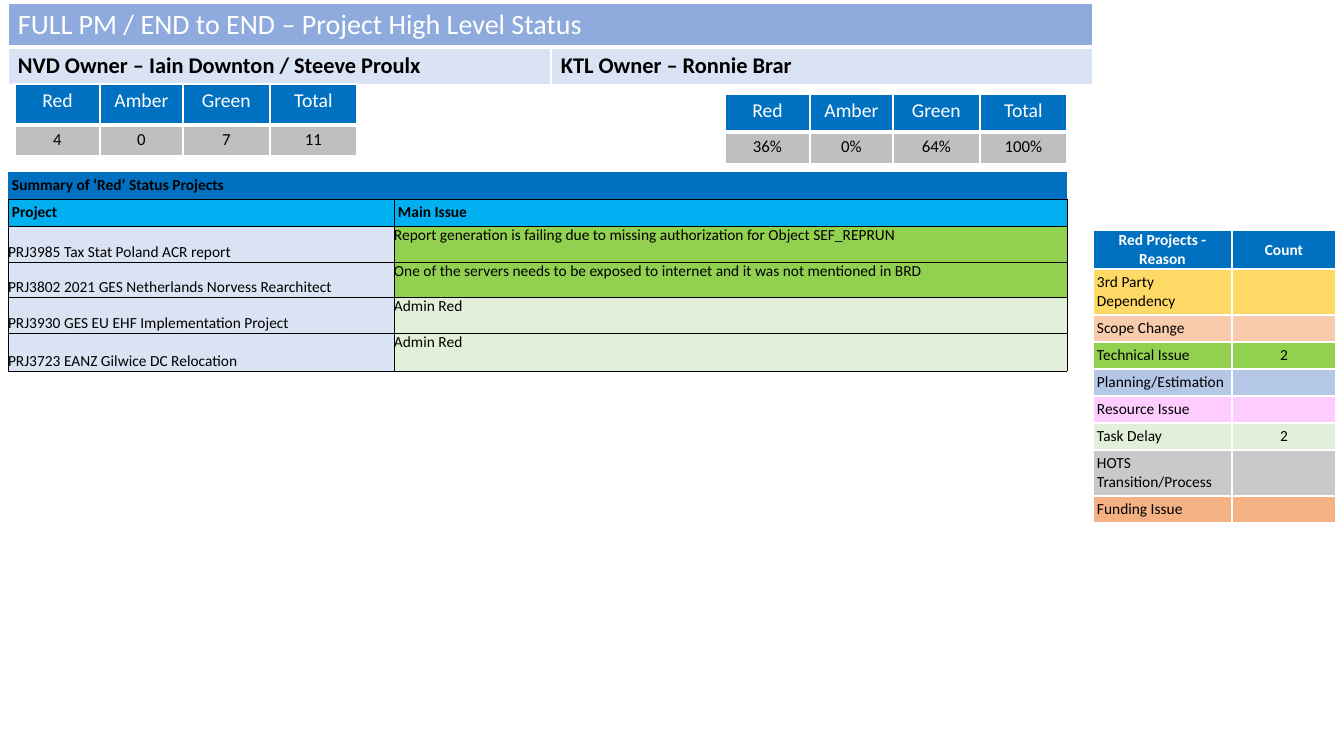
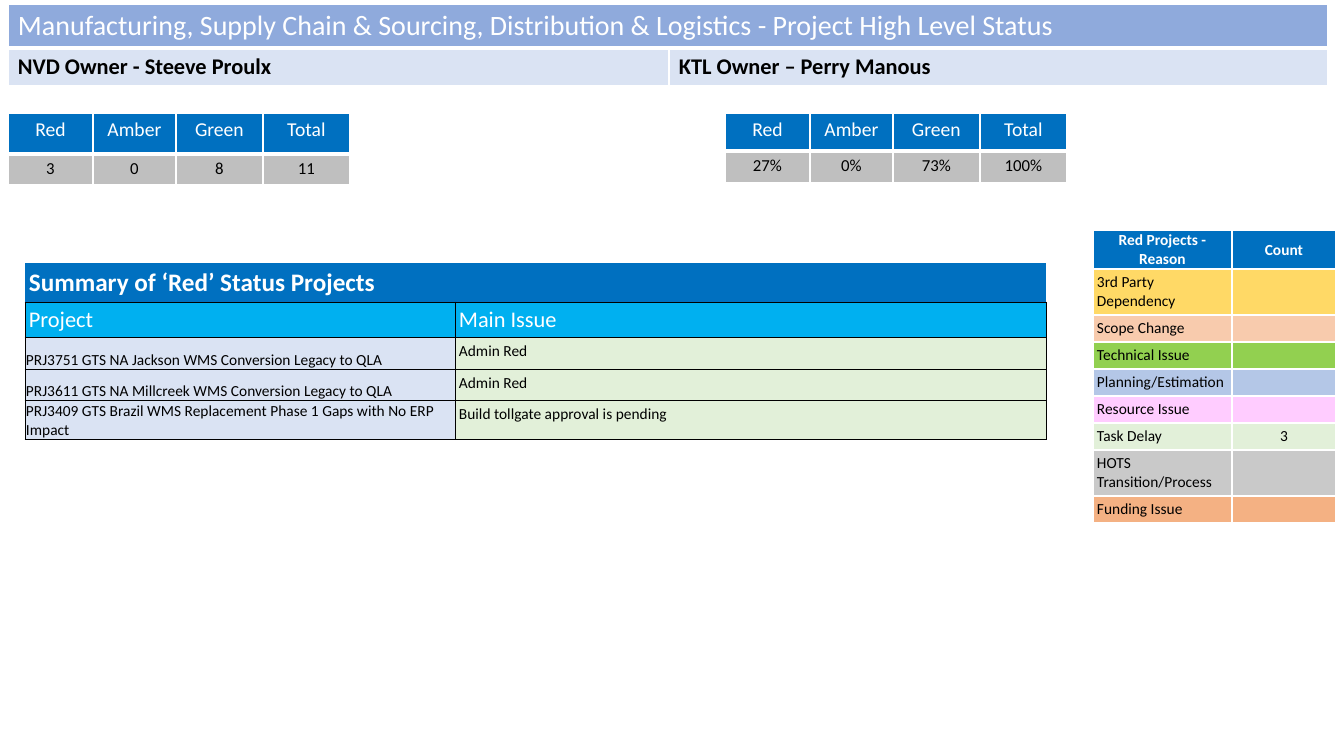
from collections import Counter
from dataclasses import dataclass, replace

from lxml.etree import SubElement
from pptx import Presentation
from pptx.dml.color import RGBColor
from pptx.enum.text import MSO_ANCHOR, PP_ALIGN
from pptx.oxml.ns import qn
from pptx.util import Emu, Pt

SLIDE_WIDTH, SLIDE_HEIGHT = 1344, 756
EMU_PER_PX = 12192000 / SLIDE_WIDTH
FONT = "Calibri"
WHITE, BLACK = "FFFFFF", "000000"
TITLE_BLUE, PALE_BLUE = "8FAADC", "DAE3F3"
HEAD_BLUE, SKY_BLUE, GREY = "0070C0", "00B0F0", "BFBFBF"

REASON_COLOURS = {
    "3rd Party Dependency": "FFD966",
    "Scope Change": "F8CBAD",
    "Technical Issue": "92D050",
    "Planning/Estimation": "B4C7E7",
    "Resource Issue": "FFCCFF",
    "Task Delay": "E2F0D9",
    "HOTS Transition/Process": "C9C9C9",
    "Funding Issue": "F4B183",
}

# Border sets: edge -> (colour, points); edges left out have no line
WHITE_GRID = dict.fromkeys("LRTB", (WHITE, 1))
WHITE_HEAD = WHITE_GRID | {"B": (WHITE, 3)}
BLACK_GRID = dict.fromkeys("LRTB", (BLACK, 0.5))
BLACK_BASE = {"B": (BLACK, 0.5)}

# Cell insets in px: left, top, right, bottom
WIDE, EVEN, TIGHT, FLUSH = (10, 5, 10, 5), (4, 4, 4, 4), (1, 1, 1, 0), (0, 0, 0, 0)


@dataclass(frozen=True)
class Look:
    fill: str
    size: int
    colour: str = BLACK
    bold: bool = False
    align: PP_ALIGN = PP_ALIGN.LEFT
    anchor: MSO_ANCHOR = MSO_ANCHOR.TOP
    insets: tuple = WIDE
    borders: tuple = tuple(WHITE_GRID.items())


def look(fill, size, borders=WHITE_GRID, **options):
    return Look(fill, size, borders=tuple(borders.items()), **options)


TITLE = look(TITLE_BLUE, 20, WHITE_HEAD, colour=WHITE)
OWNER = look(PALE_BLUE, 16, bold=True)
COUNT_HEAD = look(HEAD_BLUE, 14, WHITE_HEAD, colour=WHITE, align=PP_ALIGN.CENTER)
COUNT = look(GREY, 12, align=PP_ALIGN.CENTER)
REASON_HEAD = look(HEAD_BLUE, 11, colour=WHITE, bold=True, align=PP_ALIGN.CENTER,
                   anchor=MSO_ANCHOR.MIDDLE, insets=TIGHT)
REASON = look(WHITE, 11, anchor=MSO_ANCHOR.MIDDLE, insets=EVEN)
SUMMARY_TITLE = look(HEAD_BLUE, 11, BLACK_BASE, bold=True,
                     anchor=MSO_ANCHOR.MIDDLE, insets=EVEN)
SUMMARY_HEAD = look(SKY_BLUE, 11, BLACK_GRID, bold=True,
                    anchor=MSO_ANCHOR.MIDDLE, insets=EVEN)
PROJECT = look(PALE_BLUE, 11, BLACK_GRID, anchor=MSO_ANCHOR.BOTTOM, insets=FLUSH)
ISSUE = look(WHITE, 11, BLACK_GRID, insets=FLUSH)


def px(length):
    return Emu(round(length * EMU_PER_PX))


def rgb(colour):
    return RGBColor.from_string(colour)


def draw_borders(cell, borders):
    properties = cell._tc.get_or_add_tcPr()
    for position, edge in enumerate("LRTB"):
        line = SubElement(properties, qn(f"a:ln{edge}"))
        if edge in borders:
            colour, points = borders[edge]
            line.set("w", str(Pt(points)))
            solid = SubElement(line, qn("a:solidFill"))
            SubElement(solid, qn("a:srgbClr")).set("val", colour)
        else:
            SubElement(line, qn("a:noFill"))
        properties.insert(position, line)


def write_cell(cell, text, style):
    cell.fill.solid()
    cell.fill.fore_color.rgb = rgb(style.fill)
    draw_borders(cell, dict(style.borders))
    (cell.margin_left, cell.margin_top,
     cell.margin_right, cell.margin_bottom) = map(px, style.insets)
    cell.vertical_anchor = style.anchor
    para = cell.text_frame.paragraphs[0]
    para.alignment = style.align
    if text:
        span = para.add_run()
        span.text = text
        span.font.name = FONT
        span.font.size = Pt(style.size)
        span.font.bold = style.bold
        span.font.color.rgb = rgb(style.colour)
    else:
        # Keeps an empty cell from stretching its row
        SubElement(para._p, qn("a:endParaRPr")).set("sz", str(style.size * 100))


def add_grid(page, left, top, widths, heights, rows, merge_first=False):
    """Each row is a list of (text, look) pairs."""
    frame = page.shapes.add_table(len(heights), len(widths), px(left), px(top),
                                  px(sum(widths)), px(sum(heights)))
    table = frame.table
    table.horz_banding = False
    for column, width in zip(table.columns, widths):
        column.width = px(width)
    for row, height in zip(table.rows, heights):
        row.height = px(height)
    for row, contents in zip(table.rows, rows):
        for cell, (text, style) in zip(row.cells, contents):
            write_cell(cell, text, style)
    if merge_first:
        table.cell(0, 0).merge(table.cell(0, len(widths) - 1))


def add_header(page, top, widths, title, owners):
    rows = [[(title, TITLE), ("", TITLE)], [(owner, OWNER) for owner in owners]]
    add_grid(page, 8, top, widths, [44, 37], rows, merge_first=True)


def add_counts(page, left, top, heights, values):
    rows = [[(name, COUNT_HEAD) for name in ("Red", "Amber", "Green", "Total")],
            [(value, COUNT) for value in values]]
    add_grid(page, left, top, [85, 83, 87, 87], heights, rows)


def add_status(page, left, tops, red, amber, green):
    total = red + amber + green
    counts = (red, amber, green, total)
    add_counts(page, left, tops[0], [41, 31], [str(count) for count in counts])
    add_counts(page, 725, tops[1], [38, 32], [f"{count / total:.0%}" for count in counts])


def add_summary(page, left, top, widths, heights, projects, title=SUMMARY_TITLE,
                head=SUMMARY_HEAD, project=PROJECT, issue=ISSUE):
    rows = [[("Summary of ‘Red’ Status Projects", title), ("", title)],
            [("Project", head), ("Main Issue", head)]]
    for name, problem, reason in projects:
        rows.append([(name, project),
                     (problem, replace(issue, fill=REASON_COLOURS[reason]))])
    add_grid(page, left, top, widths, heights, rows, merge_first=True)


def add_reasons(page, projects):
    counts = Counter(reason for _, _, reason in projects)
    rows = [[("Red Projects - Reason", REASON_HEAD), ("Count", REASON_HEAD)]]
    for reason, colour in REASON_COLOURS.items():
        style = replace(REASON, fill=colour)
        rows.append([(reason, style),
                     (str(counts[reason] or ""), replace(style, align=PP_ALIGN.CENTER))])
    add_grid(page, 1093, 230, [139, 104], [39, 46, *[27] * 5, 46, 27], rows)


def build_full_status(page):
    projects = [
        ("PRJ3985 Tax Stat Poland ACR report",
         "Report generation is failing due to missing authorization for Object SEF_REPRUN",
         "Technical Issue"),
        ("PRJ3802 2021 GES Netherlands Norvess Rearchitect",
         "One of the servers needs to be exposed to internet and it was not mentioned in BRD",
         "Technical Issue"),
        ("PRJ3930 GES EU EHF Implementation Project", "Admin Red", "Task Delay"),
        ("PRJ3723 EANZ Gilwice DC Relocation", "Admin Red", "Task Delay"),
    ]
    add_header(page, 3, [543, 542], "FULL PM / END to END – Project High Level Status",
               ["NVD Owner – Iain Downton / Steeve Proulx", "KTL Owner – Ronnie Brar"])
    add_status(page, 15, (84, 94), red=4, amber=0, green=7)
    add_summary(page, 8, 172, [386, 673], [27, 27, 36, 35, 36, 38], projects)
    add_reasons(page, projects)


def build_supply_status(page):
    projects = [
        ("PRJ3751 GTS NA Jackson WMS Conversion Legacy to QLA", "Admin Red", "Task Delay"),
        ("PRJ3611 GTS NA Millcreek WMS Conversion Legacy to QLA", "Admin Red", "Task Delay"),
        ("PRJ3409 GTS Brazil WMS Replacement Phase 1 Gaps with No ERP Impact",
         "Build tollgate approval is pending", "Task Delay"),
    ]
    add_header(page, 4, [661, 659],
               "Manufacturing, Supply Chain & Sourcing, Distribution & Logistics"
               " - Project High Level Status",
               ["NVD Owner - Steeve Proulx", "KTL Owner – Perry Manous"])
    add_status(page, 8, (113, 113), red=3, amber=0, green=8)
    add_summary(page, 25, 263, [430, 591], [39, 35, 32, 31, 39], projects,
                title=replace(SUMMARY_TITLE, size=18, colour=WHITE),
                head=replace(SUMMARY_HEAD, size=16, colour=WHITE, bold=False),
                project=replace(PROJECT, insets=TIGHT),
                issue=replace(ISSUE, insets=EVEN))
    add_reasons(page, projects)


def main():
    deck = Presentation()
    deck.slide_width, deck.slide_height = px(SLIDE_WIDTH), px(SLIDE_HEIGHT)
    blank = deck.slide_layouts[6]
    for build in (build_full_status, build_supply_status):
        build(deck.slides.add_slide(blank))
    deck.save("out.pptx")


if __name__ == "__main__":
    main()
